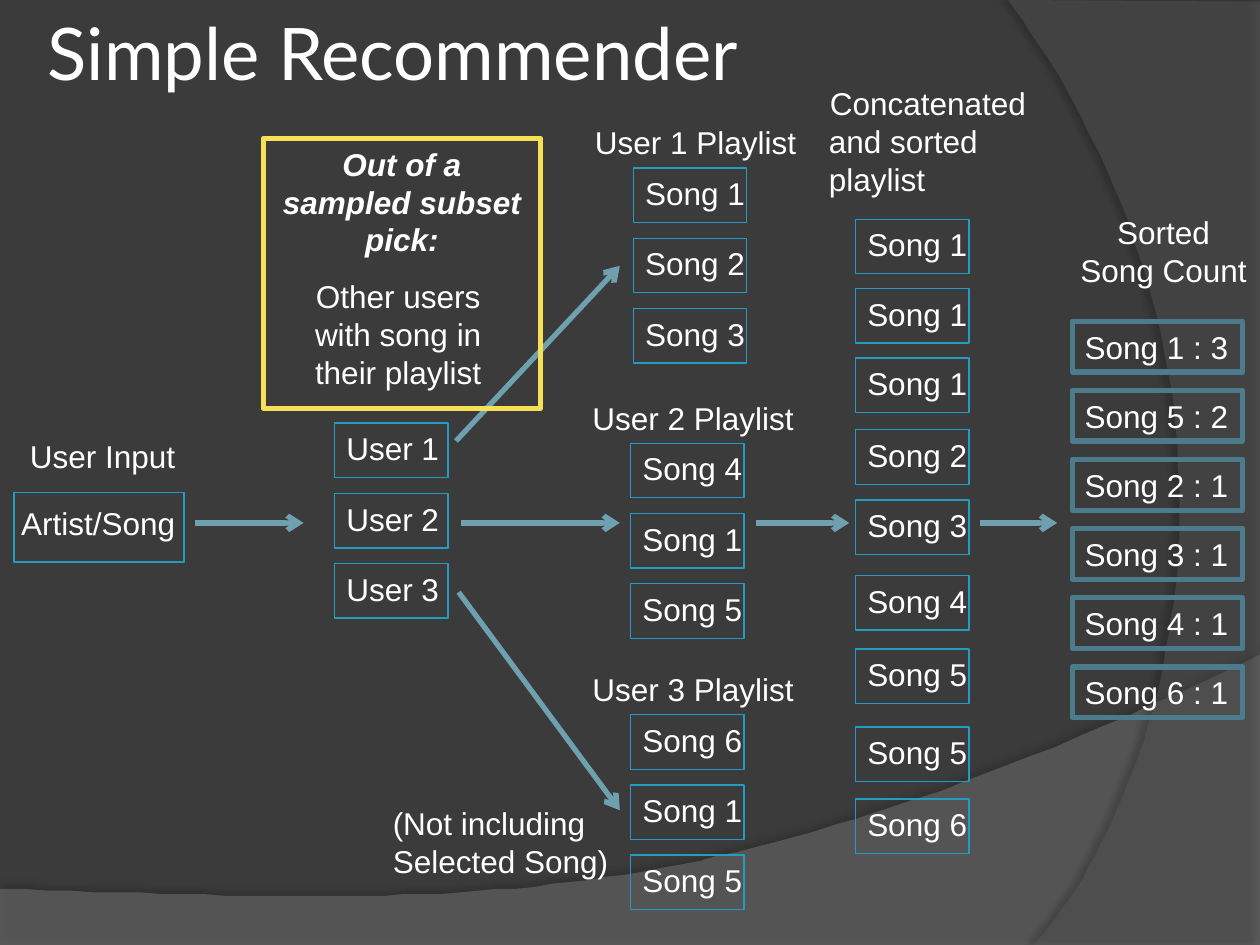
from pptx import Presentation
from pptx.dml.color import RGBColor
from pptx.enum.shapes import MSO_CONNECTOR, MSO_SHAPE
from pptx.enum.text import MSO_ANCHOR, PP_ALIGN
from pptx.oxml.ns import qn
from pptx.util import Pt
from lxml import etree

RECTANGLE = MSO_SHAPE.RECTANGLE
STRAIGHT = MSO_CONNECTOR.STRAIGHT
LEFT, CENTER = PP_ALIGN.LEFT, PP_ALIGN.CENTER
TOP, MIDDLE = MSO_ANCHOR.TOP, MSO_ANCHOR.MIDDLE

COLORS = {
    "background": "3B3B3B", "wave": "7F7F7F", "arc": "5E5E5E", "shadow": "000000",
    "text": "FFFFFF", "arrow": "6EA0B0", "frame": "239BC2", "count": "4C7C8B",
    "highlight": "F7DF56",
}
PAGE_WIDTH, PAGE_HEIGHT = 720, 540
ENTRY_WIDTH, ENTRY_HEIGHT, ENTRY_STEP = 64.8, 31.2, 40.1
LABEL_HEIGHT = 29


def color(name):
    return RGBColor.from_string(COLORS[name])


def curve(start, first_control, second_control, end, steps=60):
    """Return the points of a cubic Bezier curve."""
    points = []
    for step in range(steps + 1):
        t = step / steps
        weights = ((1 - t) ** 3, 3 * t * (1 - t) ** 2, 3 * t * t * (1 - t), t ** 3)
        corners = (start, first_control, second_control, end)
        points.append(tuple(sum(w * c[axis] for w, c in zip(weights, corners))
                            for axis in (0, 1)))
    return points


class Slide:
    """Hold the style and the page that elements are added to."""

    font, size = "Arial", 18

    def __init__(self, page):
        self.page = page
        self.shapes = page.shapes
        page.background.fill.solid()
        page.background.fill.fore_color.rgb = color("background")

    def backdrop(self, points, fill, opacity, shadow_opacity, shadow_distance, shadow_angle):
        builder = self.shapes.build_freeform(*points[0], scale=Pt(1))
        builder.add_line_segments(points[1:], close=True)
        shape = builder.convert_to_shape()
        shape.fill.solid()
        shape.fill.fore_color.rgb = color(fill)
        shape.line.fill.background()
        shape.shadow.inherit = False
        properties = shape._element.spPr
        tone = properties.find(qn("a:solidFill"))[0]
        etree.SubElement(tone, qn("a:alpha"), val=str(opacity * 1000))
        shadow = etree.SubElement(
            properties.find(qn("a:effectLst")), qn("a:outerShdw"), blurRad=str(Pt(4)),
            dist=str(Pt(shadow_distance)), dir=str(shadow_angle * 60000))
        tone = etree.SubElement(shadow, qn("a:srgbClr"), val=COLORS["shadow"])
        etree.SubElement(tone, qn("a:alpha"), val=str(shadow_opacity * 1000))

    def set_text(self, shape, lines, aligns=(LEFT,), wrap=True, size=None, font=None,
                 strong=False, anchor=TOP):
        """Fill a shape with one paragraph per line; the last alignment repeats."""
        frame = shape.text_frame
        frame.word_wrap = wrap
        frame.vertical_anchor = anchor
        for index, line in enumerate(lines):
            para = frame.add_paragraph() if index else frame.paragraphs[0]
            para.alignment = aligns[min(index, len(aligns) - 1)]
            span = para.add_run()
            span.text = line
            span.font.name = font or self.font
            span.font.size = Pt(size or self.size)
            span.font.color.rgb = color("text")
            if strong:
                span.font.bold = span.font.italic = True

    def label(self, left, top, width, height, *lines, **style):
        box = self.shapes.add_textbox(Pt(left), Pt(top), Pt(width), Pt(height))
        self.set_text(box, lines, **style)
        return box

    def title(self, left, top, width, height, text):
        box = self.label(left, top, width, height, text, size=41.4, font="Lato", anchor=MIDDLE)
        frame = box.text_frame
        frame.margin_left = frame.margin_right = Pt(3.6)
        frame.margin_top = frame.margin_bottom = Pt(3.6)

    def frame(self, left, top, width, height, line="frame", weight=0.75):
        box = self.shapes.add_shape(RECTANGLE, Pt(left), Pt(top), Pt(width), Pt(height))
        box.shadow.inherit = False
        box.fill.background()
        box.line.color.rgb = color(line)
        box.line.width = Pt(weight)
        return box

    def entry(self, left, top, text):
        self.label(left - 0.4, top, 72.7, LABEL_HEIGHT, text)
        self.frame(left, top, ENTRY_WIDTH, ENTRY_HEIGHT)

    def stack(self, left, top, texts):
        for row, text in enumerate(texts):
            self.entry(left, top + row * ENTRY_STEP, text)

    def playlist(self, left, top, heading, songs):
        self.label(left - 29, top - 29, 134, LABEL_HEIGHT, heading)
        self.stack(left, top, songs)

    def count(self, left, top, text):
        box = self.frame(left, top, 97.2, LABEL_HEIGHT, "count", 3)
        self.set_text(box, [text], wrap=False)

    def arrow(self, x1, y1, x2, y2):
        line = self.shapes.add_connector(STRAIGHT, Pt(x1), Pt(y1), Pt(x2), Pt(y2))
        line.line.color.rgb = color("arrow")
        line.line.width = Pt(3)
        properties = line._element.spPr
        etree.SubElement(properties.find(qn("a:ln")), qn("a:tailEnd"), type="arrow")
        etree.SubElement(properties, qn("a:effectLst"))


def main():
    deck = Presentation()
    deck.slide_width, deck.slide_height = Pt(PAGE_WIDTH), Pt(PAGE_HEIGHT)
    slide = Slide(deck.slides.add_slide(deck.slide_layouts[6]))

    wave = curve((720, 374.4), (402.5, 524.9), (281.5, 517.7), (0, 507.6))
    slide.backdrop([(0, 540), (720, 540)] + wave, "wave", 45, 35, 3.5, 270)
    arc = curve((591, 540), (673.2, 445.7), (733, 216), (576, 0))
    slide.backdrop([(720, 1.4), (720, 540)] + arc, "arc", 40, 45, 4, 180)
    slide.title(23.8, 2.2, 588.2, 54.7, "Simple Recommender")

    slide.label(10, 246.2, 128, LABEL_HEIGHT, "User Input")
    slide.label(5, 284.4, 106, LABEL_HEIGHT, "Artist/Song")
    slide.frame(8, 281.5, 97.2, 39.6)

    flow_y = 298.8
    slide.arrow(111.6, flow_y, 173.5, flow_y)
    slide.label(157.7, 154.8, 139.7, 72.7, "Other users with song in their playlist",
                aligns=(CENTER,))
    slide.stack(191.2, 241.8, ["User 1", "User 2", "User 3"])

    slide.arrow(260.6, 252, 354.2, 151.9)
    slide.arrow(263.5, flow_y, 354.2, flow_y)
    slide.arrow(262.1, 338.4, 354.2, 463)
    playlists = [
        (361.9, 96, "User 1 Playlist", ["Song 1", "Song 2", "Song 3"]),
        (360.4, 253.3, "User 2 Playlist", ["Song 4", "Song 1", "Song 5"]),
        (360.4, 408.4, "User 3 Playlist", ["Song 6", "Song 1", "Song 5"]),
    ]
    for playlist in playlists:
        slide.playlist(*playlist)
    slide.label(217.4, 455.8, 139, 51.1, "(Not including", "Selected Song)", wrap=False)

    slide.label(466.6, 44.6, 127.4, 72.7, "Concatenated", "and sorted", "playlist",
                aligns=(CENTER, LEFT), wrap=False)
    merged = [(125.3, 1), (164.9, 1), (204.5, 1), (245.5, 2), (285.8, 3),
              (328.8, 4), (370.8, 5), (415.4, 5), (456.5, 6)]
    for top, song in merged:
        slide.entry(488.9, top, f"Song {song}")
    slide.arrow(432, flow_y, 485.3, flow_y)
    slide.arrow(560.2, flow_y, 604.1, flow_y)

    slide.label(609.8, 118.1, 110.2, 51.1, "Sorted Song Count", aligns=(CENTER,))
    counts = [(1, 3), (5, 2), (2, 1), (3, 1), (4, 1), (6, 1)]
    for row, (song, plays) in enumerate(counts):
        slide.count(612.7, 183.6 + row * 39.5, f"Song {song} : {plays}")

    slide.label(150.5, 79.2, 158.4, 72.7, "Out of a sampled subset pick:",
                aligns=(CENTER,), strong=True)
    slide.frame(150.5, 79.2, 158.4, 154.1, "highlight", 3)

    deck.save("out.pptx")


if __name__ == "__main__":
    main()
